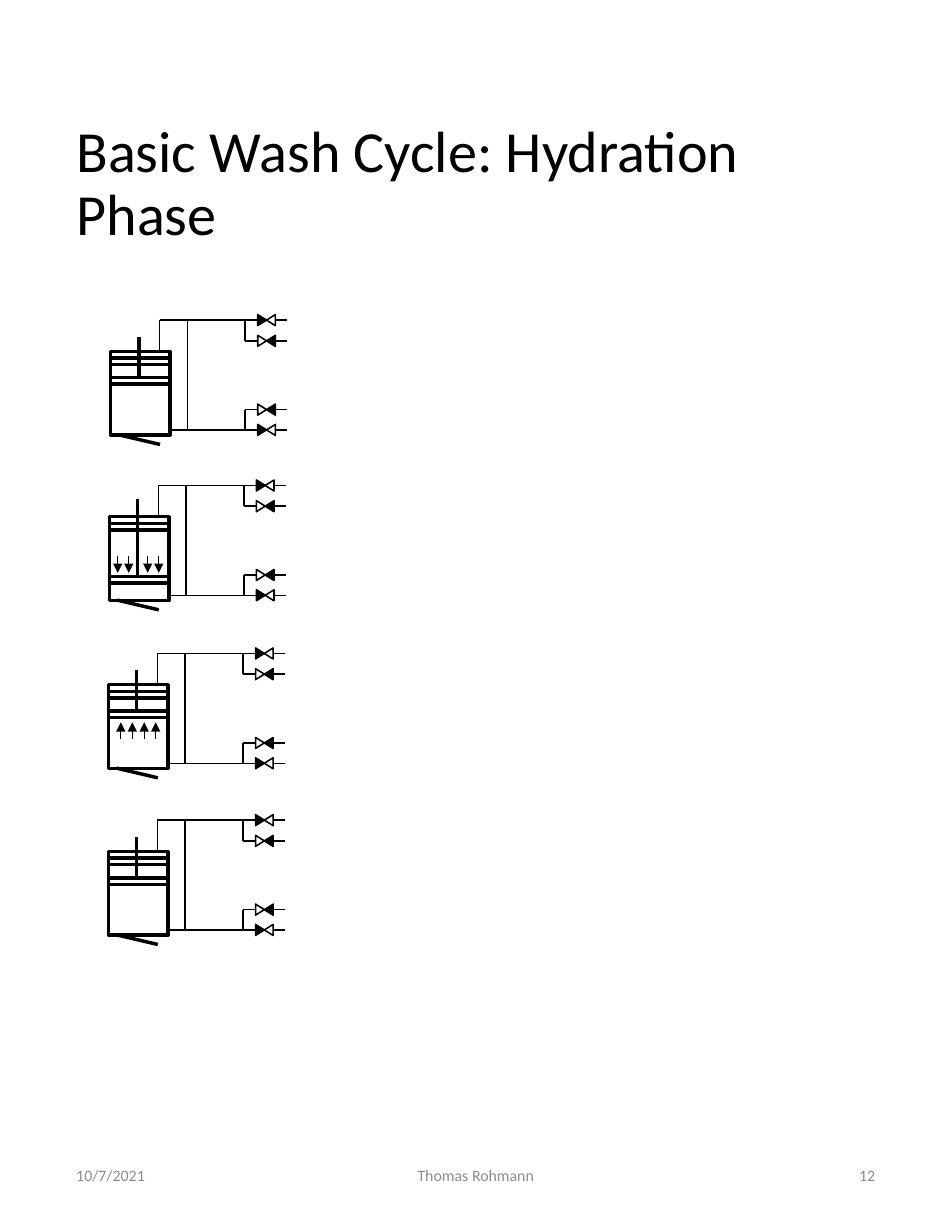
from lxml import etree
from pptx import Presentation
from pptx.dml.color import RGBColor
from pptx.enum import shapes, text
from pptx.oxml.ns import qn
from pptx.util import Cm, Pt

FONT = "Calibri"
BLACK, WHITE, GREY = "000000", "FFFFFF", "8C8C8C"
THICK, PIPE, THIN = 2.25, 1, 0.5
CYLINDER_WIDTH = 1.35
BAND_HEIGHT = 0.15
TOP_BRANCH, BOTTOM_BRANCH, BOTTOM_PIPE = 0.47, 2.03, 2.49
PIPE_END = 4.01


def color(value):
    return RGBColor.from_string(value)


def add_line(parent, start, end, width=PIPE, arrow=False):
    line = parent.shapes.add_connector(
        shapes.MSO_CONNECTOR.STRAIGHT, *(Cm(value) for value in (*start, *end)))
    line.line.color.rgb = color(BLACK)
    line.line.width = Pt(width)
    properties = line._element.spPr
    if arrow:
        etree.SubElement(line.line._get_or_add_ln(), qn("a:tailEnd"), type="triangle")
    etree.SubElement(properties, qn("a:effectLst"))
    return line


def add_outlined(parent, kind, box, fill, width):
    shape = parent.shapes.add_shape(kind, *(Cm(value) for value in box))
    shape.shadow.inherit = False
    shape.fill.solid()
    shape.fill.fore_color.rgb = color(fill)
    shape.line.color.rgb = color(BLACK)
    shape.line.width = Pt(width)
    return shape


def draw_pipes(page, left, top):
    """Lines that link the cylinder with the four valves."""
    riser, bypass, branch = 1.11, 1.74, 3.05
    for x1, y1, x2, y2 in (
        (riser, 0, PIPE_END, 0),
        (riser, 0, riser, 0.71),
        (bypass, 0, bypass, BOTTOM_PIPE),
        (1.32, BOTTOM_PIPE, PIPE_END, BOTTOM_PIPE),
        (branch, 0, branch, TOP_BRANCH),
        (branch, TOP_BRANCH, PIPE_END, TOP_BRANCH),
        (branch, BOTTOM_BRANCH, branch, BOTTOM_PIPE),
        (branch, BOTTOM_BRANCH, PIPE_END, BOTTOM_BRANCH),
    ):
        add_line(page, (left + x1, top + y1), (left + x2, top + y2))


def draw_cylinder(page, left, top, rod_top, piston_top):
    group = page.shapes.add_group_shape()
    for y, height in ((0.71, 1.9), (piston_top, BAND_HEIGHT), (0.86, BAND_HEIGHT)):
        add_outlined(group, shapes.MSO_SHAPE.RECTANGLE,
                     (left, top + y, CYLINDER_WIDTH, height), WHITE, THICK)
    add_line(group, (left + 0.18, top + 2.6), (left + 1.12, top + 2.82), THICK)
    add_line(group, (left + 0.64, top + piston_top), (left + 0.64, top + rod_top), THICK)


def draw_valve(page, left, middle, fills):
    """Two triangles whose tips meet."""
    width, height, step = 0.25, 0.2, 0.2
    group = page.shapes.add_group_shape()
    for index, (fill, rotation) in enumerate(zip(fills, (90, 270))):
        triangle = add_outlined(
            group, shapes.MSO_SHAPE.ISOSCELES_TRIANGLE,
            (left + index * step, middle - height / 2, width, height), fill, PIPE)
        triangle.rotation = rotation


def draw_stage(page, left, top, rod_top, piston_top, arrow_columns, arrow_span):
    draw_pipes(page, left, top)
    draw_cylinder(page, left, top, rod_top, piston_top)
    for y, fills in ((0, (BLACK, WHITE)), (TOP_BRANCH, (WHITE, BLACK)),
                     (BOTTOM_BRANCH, (WHITE, BLACK)), (BOTTOM_PIPE, (BLACK, WHITE))):
        draw_valve(page, left + 3.31, top + y, fills)
    for x in arrow_columns:
        start, end = arrow_span
        add_line(page, (left + x, top + start), (left + x, top + end), THIN, arrow=True)


def write(shape, words, size, ink, alignment):
    frame = shape.text_frame
    frame.text = words
    frame.word_wrap = True
    frame.auto_size = text.MSO_AUTO_SIZE.NONE
    frame.vertical_anchor = text.MSO_ANCHOR.MIDDLE
    para = frame.paragraphs[0]
    para.alignment = alignment
    para.font.name = FONT
    para.font.size = Pt(size)
    para.font.color.rgb = color(ink)
    return para


def place_title(page, left, top, width, height):
    title = page.shapes.title
    title.left, title.top, title.width, title.height = map(Cm, (left, top, width, height))
    para = write(title, "Basic Wash Cycle: Hydration Phase", 37.4, BLACK, text.PP_ALIGN.LEFT)
    para.line_spacing = 0.9


def draw_footer(page, left, top, width, height):
    side, center = 4.86, 7.29
    for words, x, part, alignment in (
        ("10/7/2021", 0, side, text.PP_ALIGN.LEFT),
        ("Thomas Rohmann", (width - center) / 2, center, text.PP_ALIGN.CENTER),
        ("12", width - side, side, text.PP_ALIGN.RIGHT),
    ):
        box = page.shapes.add_textbox(Cm(left + x), Cm(top), Cm(part), Cm(height))
        write(box, words, 10.2, GREY, alignment)


def main():
    deck = Presentation()
    deck.slide_width, deck.slide_height = Cm(21.59), Cm(27.94)
    page = deck.slides.add_slide(deck.slide_layouts[5])
    place_title(page, 1.48, 1.5, 18.62, 5.41)
    # left, top, rod top, piston top, arrow columns, arrow start and end
    for stage in (
        (2.51, 7.26, 0.38, 1.3, (), None),
        (2.48, 11.01, 0.3, 2.06, (0.19, 0.44, 0.87, 1.12), (1.6, 1.98)),
        (2.46, 14.82, 0.37, 1.3, (0.28, 0.54, 0.81, 1.07), (1.94, 1.56)),
        (2.46, 18.6, 0.38, 1.31, (), None),
    ):
        draw_stage(page, *stage)
    draw_footer(page, 1.48, 25.9, 18.62, 1.49)
    deck.save("out.pptx")


if __name__ == "__main__":
    main()
